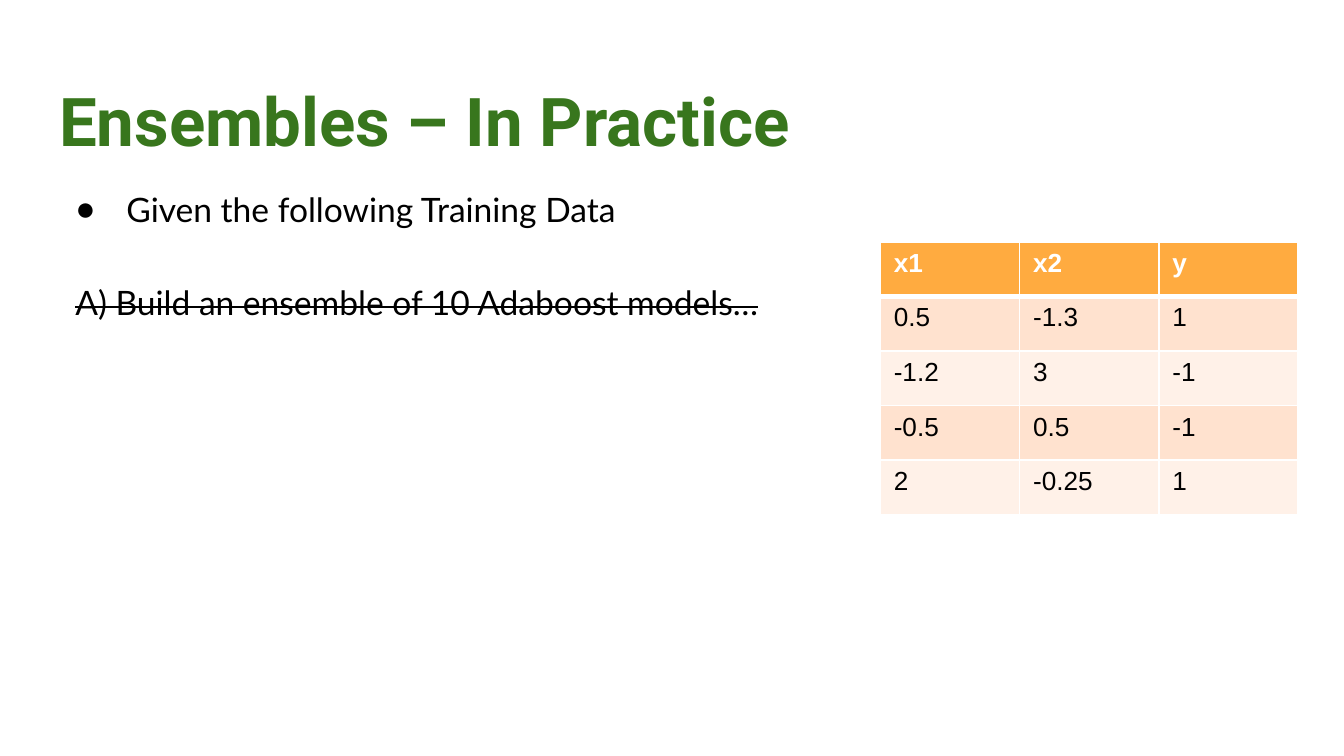
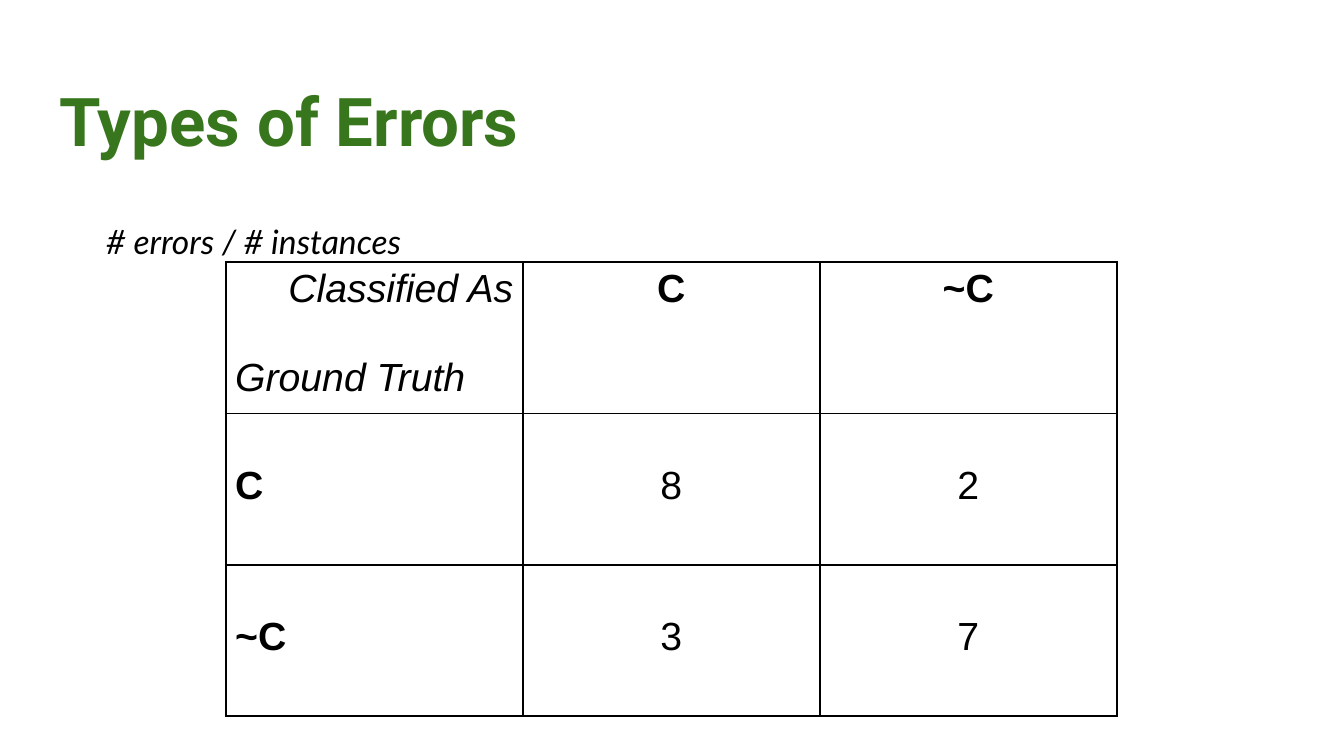
from pptx import Presentation
from pptx import util as u
from pptx.dml.color import RGBColor
from pptx.enum import text
from pptx.oxml import parse_xml
from pptx.oxml.ns import nsdecls

LEFT, CENTER, RIGHT = text.PP_ALIGN.LEFT, text.PP_ALIGN.CENTER, text.PP_ALIGN.RIGHT

# Theme: colours and type styles
THEME = {
    "black": "000000", "white": "FFFFFF", "orange": "FFAB40",
    "bands": ["FFE2CF", "FFF1E8"],
    "title": {"name": "Roboto", "size": u.Pt(36), "bold": True, "color": "38761D"},
    "body": {"name": "Lato", "size": u.Pt(18), "color": "000000"},
    "data": {"name": "Arial", "size": u.Pt(14), "color": "000000"},
    "matrix": {"name": "Arial", "size": u.Pt(21), "color": "000000"},
}
LINE_GAP = u.Pt(24)  # one empty line of matrix text


def write(p, words, style, align=LEFT, **extra):
    """Add one formatted run to a paragraph."""
    p.alignment = align
    r = p.add_run()
    r.text = words
    for key, value in {**style, **extra}.items():
        if key == "color":
            r.font.color.rgb = RGBColor.from_string(value)
        else:
            setattr(r.font, key, value)
    return r


def add_grid(s, box, rows, cols, color, heavy_row=None):
    """Add a plain table with 1 pt borders, and a 3 pt line under heavy_row."""
    tbl = s.shapes.add_table(rows, cols, *map(u.Inches, box)).table
    tbl.first_row = tbl.horz_banding = False
    for i in range(rows):
        for j in range(cols):
            tcPr = tbl.cell(i, j)._tc.get_or_add_tcPr()
            for side in "LRTB":
                heavy = heavy_row is not None and (i, side) in [(heavy_row, "B"), (heavy_row + 1, "T")]
                tcPr.append(parse_xml(
                    f'<a:ln{side} {nsdecls("a")} w="{u.Pt(3 if heavy else 1)}"><a:solidFill>'
                    f'<a:srgbClr val="{color}"/></a:solidFill></a:ln{side}>'))
    return tbl


prs = Presentation()
prs.slide_width, prs.slide_height = u.Inches(10), u.Inches(5.625)

# Titles and body frames
pages = [
    ("Ensembles – In Practice", (0.34, 1.26, 9.32, 3.74)),
    ("Types of Errors", (0.69, 1.5, 8.62, 4.12)),
]
for title, body_box in pages:
    s = prs.slides.add_slide(prs.slide_layouts[1])
    for sp, box in zip(s.placeholders, [(0.34, 0.49, 9.32, 0.63), body_box]):
        sp.left, sp.top, sp.width, sp.height = map(u.Inches, box)
        tf = sp.text_frame
        tf.auto_size, tf.word_wrap = text.MSO_AUTO_SIZE.NONE, True
        tf.vertical_anchor = text.MSO_ANCHOR.TOP
        for side in ("left", "top", "right", "bottom"):
            setattr(tf, f"margin_{side}", u.Inches(0.1))
    write(s.shapes.title.text_frame.paragraphs[0], title, THEME["title"])
practice, errors = prs.slides

# Body text: slide, words, left margin, indent, bullet, space before, italic, strike
lines = [
    (practice, "Given the following Training Data", 0.5, -0.38, "●", 0, False, False),
    (practice, "A) Build an ensemble of 10 Adaboost models…", 0.12, 0, None, 25, False, True),
    (errors, "# errors / # instances", 0, 0, None, 0, True, False),
]
for s, words, margin, indent, bullet, before, italic, strike in lines:
    tf = s.placeholders[1].text_frame
    p = tf.paragraphs[0] if not tf.text else tf.add_paragraph()
    pPr = p._p.get_or_add_pPr()
    pPr.set("marL", str(u.Inches(margin)))
    pPr.set("indent", str(u.Inches(indent)))
    if bullet:
        pPr.append(parse_xml(f'<a:buClr {nsdecls("a")}><a:srgbClr val="{THEME["black"]}"/></a:buClr>'))
        pPr.append(parse_xml(f'<a:buChar {nsdecls("a")} char="{bullet}"/>'))
    else:
        pPr.append(parse_xml(f'<a:buNone {nsdecls("a")}/>'))
    p.line_spacing, p.space_before = 1.15, u.Pt(before)
    r = write(p, words, THEME["body"], italic=italic)
    if strike:
        r._r.get_or_add_rPr().set("strike", "sngStrike")

# Training data table
data = [
    ["x1", "x2", "y"],
    ["0.5", "-1.3", "1"],
    ["-1.2", "3", "-1"],
    ["-0.5", "0.5", "-1"],
    ["2", "-0.25", "1"],
]
tbl = add_grid(practice, (6.55, 1.8, 3.11, 2.03), 5, 3, THEME["white"], heavy_row=0)
for i, row in enumerate(data):
    head = i == 0
    for j, words in enumerate(row):
        cell = tbl.cell(i, j)
        cell.fill.solid()
        fill = THEME["orange"] if head else THEME["bands"][(i - 1) % 2]
        cell.fill.fore_color.rgb = RGBColor.from_string(fill)
        write(cell.text_frame.paragraphs[0], words, THEME["data"], bold=head,
              color=THEME["white" if head else "black"])

# Confusion matrix
matrix = [
    ["Classified As", "C", "~C"],
    ["C", "8", "2"],
    ["~C", "3", "7"],
]
tbl = add_grid(errors, (1.68, 1.95, 6.63, 3.38), 3, 3, THEME["black"])
for i, row in enumerate(matrix):
    for j, words in enumerate(row):
        cell = tbl.cell(i, j)
        cell.fill.background()
        cell.margin_left = cell.margin_right = u.Inches(0.07)
        cell.margin_bottom = u.Inches(0.04)
        cell.margin_top = u.Inches(0.04) + (LINE_GAP if i else 0)
        corner = i == j == 0
        align = RIGHT if corner else CENTER if j else LEFT
        write(cell.text_frame.paragraphs[0], words, THEME["matrix"], align,
              bold=not corner and 0 in (i, j), italic=corner)
p = tbl.cell(0, 0).text_frame.add_paragraph()
p.space_before = LINE_GAP
write(p, "Ground Truth", THEME["matrix"], italic=True)

prs.save("out.pptx")
